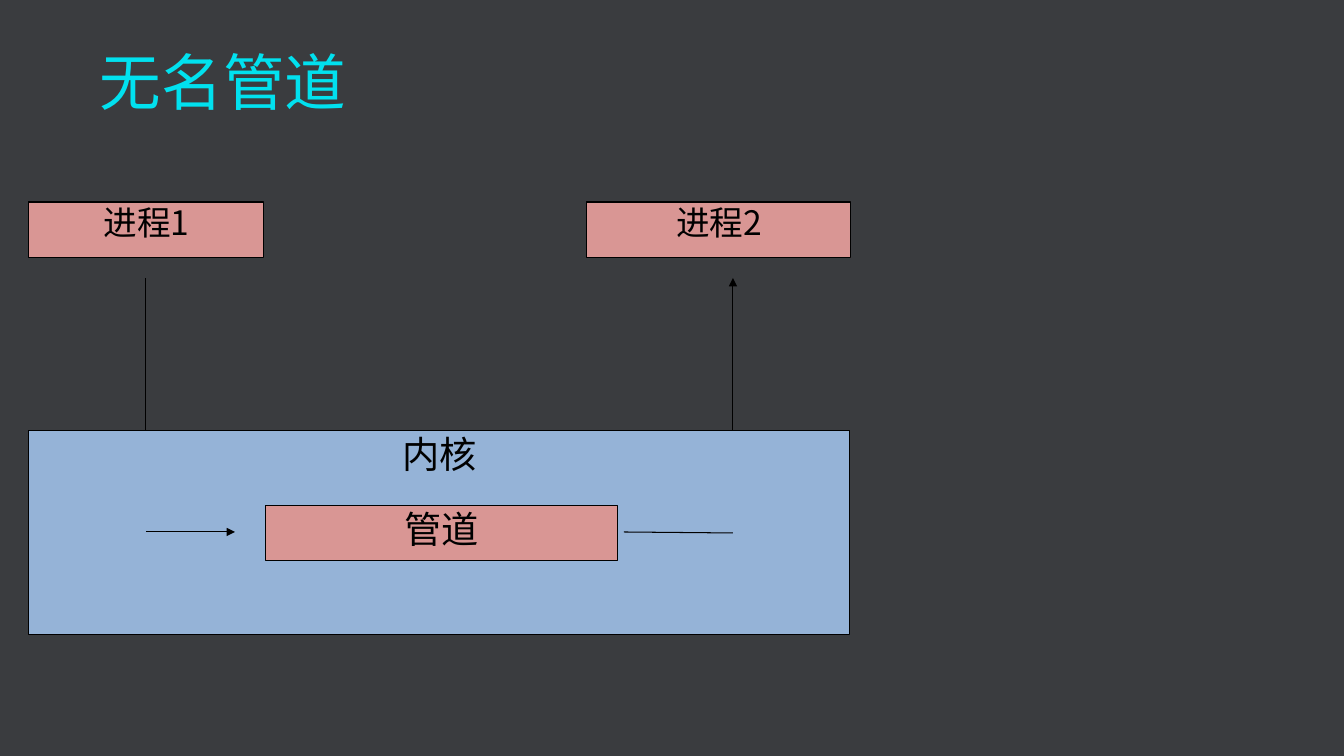
"""Build the unnamed pipe slide: two processes joined by a pipe in the kernel."""
import pptx
import pptx.dml.color
import pptx.enum.shapes
import pptx.enum.text
import pptx.oxml.ns
import pptx.util
from lxml import etree

FONT = "Noto Sans CJK SC"
BLACK, BLUE, PINK = "000000", "95B3D7", "D99694"
TITLE = ("无名管道", 90, 44, 1143, 55, 44, "01E1EF")
KERNEL = ("内核", 29, 431, 821, 204, 26.6, BLUE)
BOXES = [
    ("管道", 266, 506, 352, 55, 26.6, PINK),
    ("进程1", 29, 202, 235, 56, 24, PINK),
    ("进程2", 587, 202, 264, 56, 24, PINK),
]
LEFT, RIGHT, PROCESS_END, PIPE_LEVEL = 146, 733, 278, 532
VERTICALS = [
    (LEFT, PROCESS_END, LEFT, PIPE_LEVEL, False),
    (RIGHT, PIPE_LEVEL, RIGHT, PROCESS_END, True),
]
HORIZONTALS = [
    (LEFT, PIPE_LEVEL, 235, PIPE_LEVEL, True),
    (624, PIPE_LEVEL, RIGHT, PIPE_LEVEL + 1, False),
]


def px(length):
    return pptx.util.Emu(round(length * 914400 / 100.8))


def color(value):
    return pptx.dml.color.RGBColor.from_string(value)


def add_child(parent, tag, **attributes):
    return etree.SubElement(parent, pptx.oxml.ns.qn(tag), **attributes)


def write(shape, text, size, text_color, alignment):
    frame = shape.text_frame
    frame.word_wrap = True
    frame.vertical_anchor = pptx.enum.text.MSO_ANCHOR.TOP
    frame.margin_top = frame.margin_bottom = 0
    frame.text = text
    paragraph = frame.paragraphs[0]
    paragraph.alignment = alignment
    run = paragraph.runs[0]
    run.font.size = pptx.util.Pt(size)
    run.font.color.rgb = color(text_color)
    run.font.name = FONT
    add_child(run.font._element, "a:ea", typeface=FONT)


def add_box(slide, text, left, top, width, height, size, fill):
    shape = slide.shapes.add_shape(
        pptx.enum.shapes.MSO_SHAPE.RECTANGLE, px(left), px(top), px(width), px(height))
    shape.shadow.inherit = False
    shape.fill.solid()
    shape.fill.fore_color.rgb = color(fill)
    shape.line.color.rgb = color(BLACK)
    shape.line.width = pptx.util.Pt(0.75)
    write(shape, text, size, BLACK, pptx.enum.text.PP_ALIGN.CENTER)


def add_line(slide, start_x, start_y, end_x, end_y, arrow):
    connector = slide.shapes.add_connector(
        pptx.enum.shapes.MSO_CONNECTOR.STRAIGHT,
        px(start_x), px(start_y), px(end_x), px(end_y))
    connector.line.color.rgb = color(BLACK)
    connector.line.width = pptx.util.Pt(0.75)
    if arrow:
        add_child(connector.line._get_or_add_ln(), "a:tailEnd", type="triangle")
    add_child(connector._element.spPr, "a:effectLst")


def main():
    presentation = pptx.Presentation()
    presentation.slide_width, presentation.slide_height = px(1344), px(756)
    slide = presentation.slides.add_slide(presentation.slide_layouts[6])
    slide.background.fill.solid()
    slide.background.fill.fore_color.rgb = color("3A3C3F")

    text, left, top, width, height, size, title_color = TITLE
    title = slide.shapes.add_textbox(px(left), px(top), px(width), px(height))
    write(title, text, size, title_color, pptx.enum.text.PP_ALIGN.LEFT)

    for line in VERTICALS:
        add_line(slide, *line)
    for box in [KERNEL, *BOXES]:
        add_box(slide, *box)
    for line in HORIZONTALS:
        add_line(slide, *line)
    presentation.save("out.pptx")


if __name__ == "__main__":
    main()
